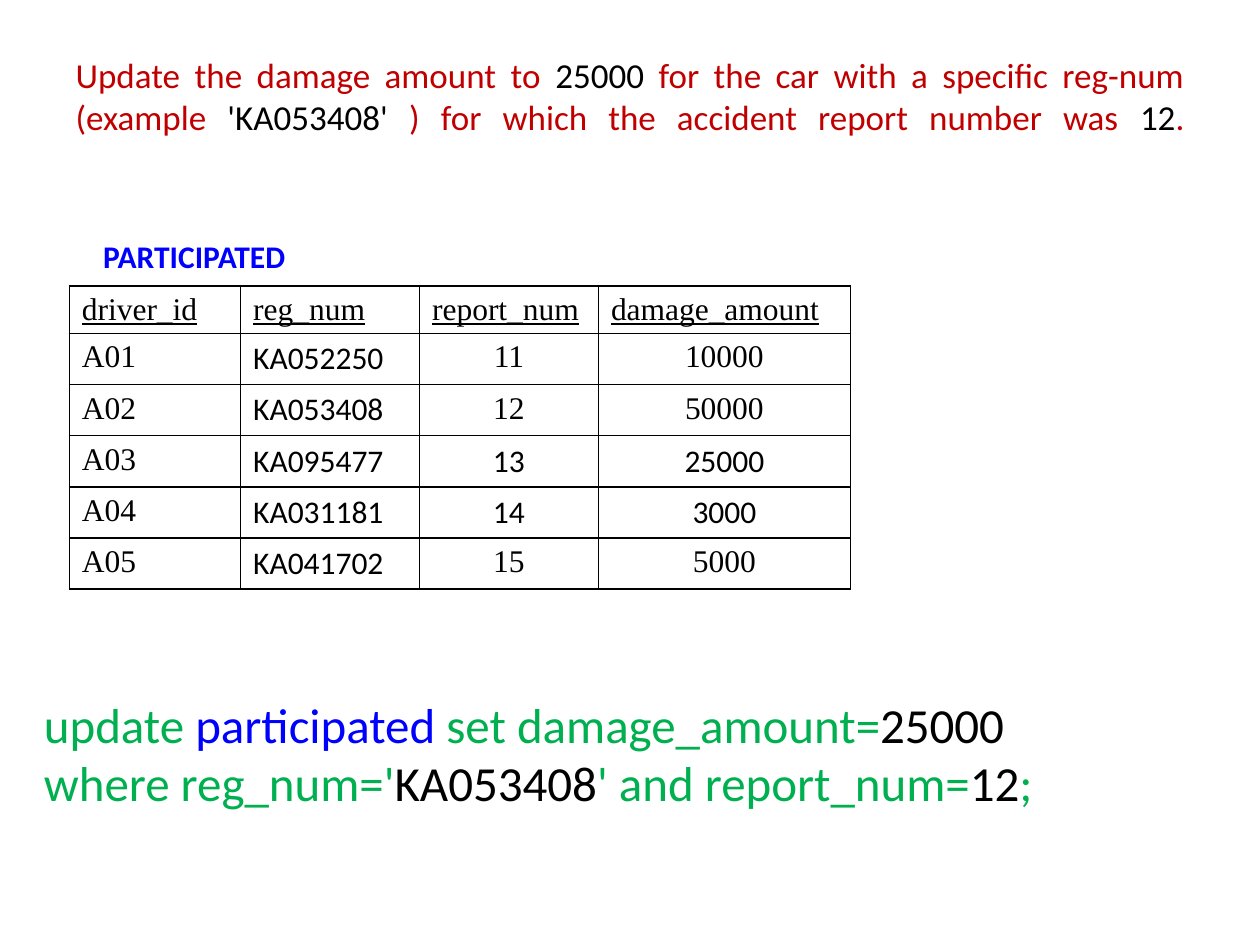
"""Build a slide showing an SQL update on the PARTICIPATED table."""
from lxml.etree import SubElement
from pptx import Presentation
from pptx.dml.color import RGBColor
from pptx.enum.text import MSO_ANCHOR, MSO_AUTO_SIZE, PP_ALIGN
from pptx.oxml.ns import qn
from pptx.util import Inches, Pt

BLACK, RED, BLUE, GREEN = "000000", "C00000", "0000FF", "00B050"


def style_font(font, size, color, name="Calibri"):
    font.size = Pt(size)
    font.name = name
    font.color.rgb = RGBColor.from_string(color)


def add_runs(paragraph, size, runs):
    for text, color in runs:
        run = paragraph.add_run()
        run.text = text
        style_font(run.font, size, color)


presentation = Presentation()
presentation.slide_width = Inches(10)
presentation.slide_height = Inches(7.5)
slide = presentation.slides.add_slide(presentation.slide_layouts[5])

title = slide.shapes.title
title.left, title.top = Inches(0.5), Inches(0.3)
title.width, title.height = Inches(9), Inches(1.25)
title.text_frame.vertical_anchor = MSO_ANCHOR.MIDDLE
title.text_frame.auto_size = MSO_AUTO_SIZE.NONE
paragraph = title.text_frame.paragraphs[0]
paragraph.alignment = PP_ALIGN.JUSTIFY
style_font(paragraph.font, 20, RED)
add_runs(paragraph, 20, [
    ("Update the damage amount to ", RED),
    ("25000", BLACK),
    (" for the car with a specific reg-num (example ", RED),
    ("'KA053408' ", BLACK),
    (") for which the accident report number was ", RED),
    ("12", BLACK),
    (".", RED),
])
paragraph.add_line_break()

rows = [
    ("driver_id", "reg_num", "report_num", "damage_amount"),
    ("A01", "KA052250", "11", "10000"),
    ("A02", "KA053408", "12", "50000"),
    ("A03", "KA095477", "13", "25000"),
    ("A04", "KA031181", "14", "3000"),
    ("A05", "KA041702", "15", "5000"),
]
calibri_number_rows = (3, 4)
table = slide.shapes.add_table(
    len(rows), 4, Inches(0.55), Inches(2.27), Inches(6.2), Inches(2.4)).table
table.first_row = False
table.horz_banding = False
for column, width in zip(table.columns, (1.36, 1.42, 1.42, 2)):
    column.width = Inches(width)
for row_index, values in enumerate(rows):
    table.rows[row_index].height = Inches(0.4 if row_index else 0.37)
    for column_index, value in enumerate(values):
        cell = table.cell(row_index, column_index)
        cell.text = value
        paragraph = cell.text_frame.paragraphs[0]
        is_header = row_index == 0
        is_number = column_index >= 2
        is_calibri = not is_header and (
            column_index == 1 or is_number and row_index in calibri_number_rows)
        style_font(paragraph.font, 18, BLACK,
                   "Calibri" if is_calibri else "Times New Roman")
        paragraph.font.underline = is_header
        if is_number and not is_header:
            paragraph.alignment = PP_ALIGN.CENTER
        properties = cell._tc.get_or_add_tcPr()
        for side in ("a:lnL", "a:lnR", "a:lnT", "a:lnB"):
            border = SubElement(properties, qn(side), w=str(Pt(1)))
            fill = SubElement(border, qn("a:solidFill"))
            SubElement(fill, qn("a:srgbClr"), val=BLACK)
        cell.fill.background()

text_boxes = [
    (0.72, 1.83, 1.66, 0.4, 18, [[("PARTICIPATED", BLUE)]]),
    (0.25, 5.46, 8.15, 1.51, 28, [
        [("update ", GREEN), ("participated", BLUE),
         (" set damage_amount=", GREEN), ("25000", BLACK)],
        [("where reg_num='", GREEN), ("KA053408", BLACK),
         ("' and report_num=", GREEN), ("12", BLACK), (";", GREEN)],
    ]),
]
for left, top, width, height, size, lines in text_boxes:
    text_box = slide.shapes.add_textbox(
        Inches(left), Inches(top), Inches(width), Inches(height))
    frame = text_box.text_frame
    frame.word_wrap = False
    for index, runs in enumerate(lines):
        paragraph = frame.add_paragraph() if index else frame.paragraphs[0]
        paragraph.font.bold = len(lines) == 1
        add_runs(paragraph, size, runs)

presentation.save("out.pptx")
